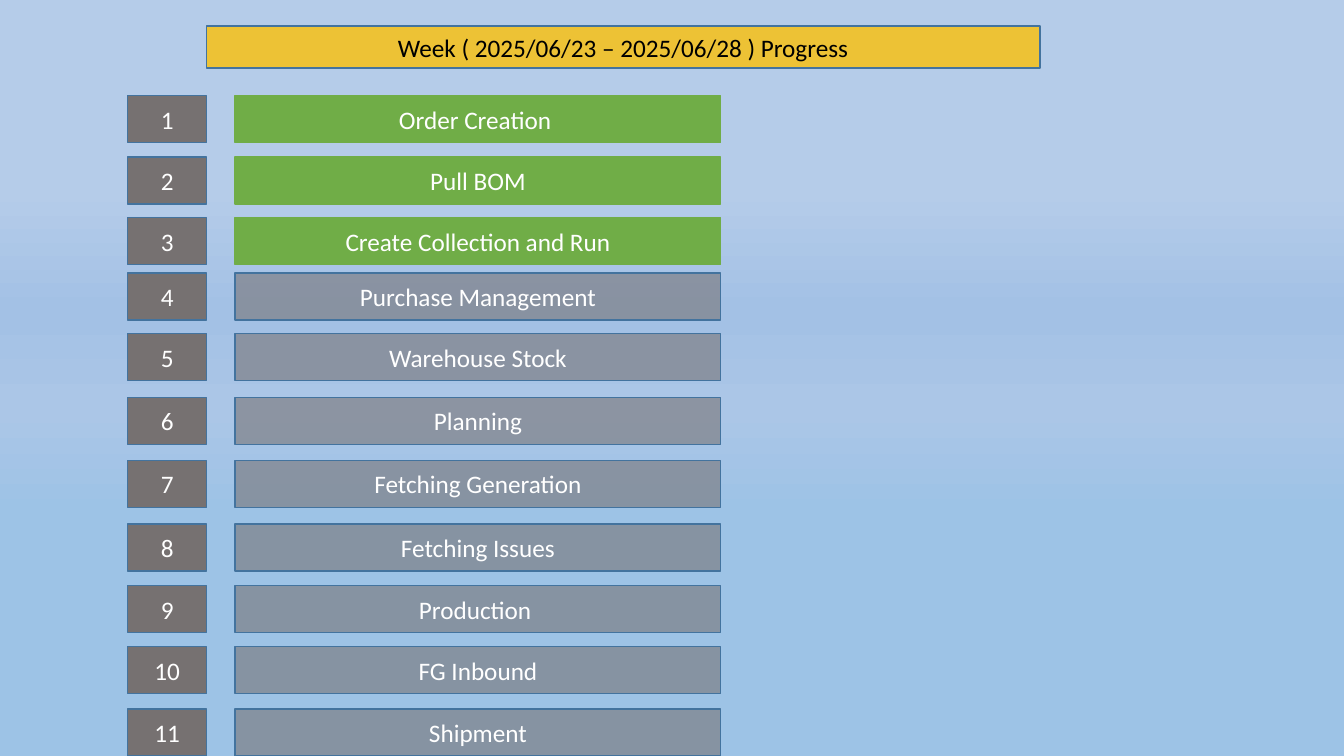
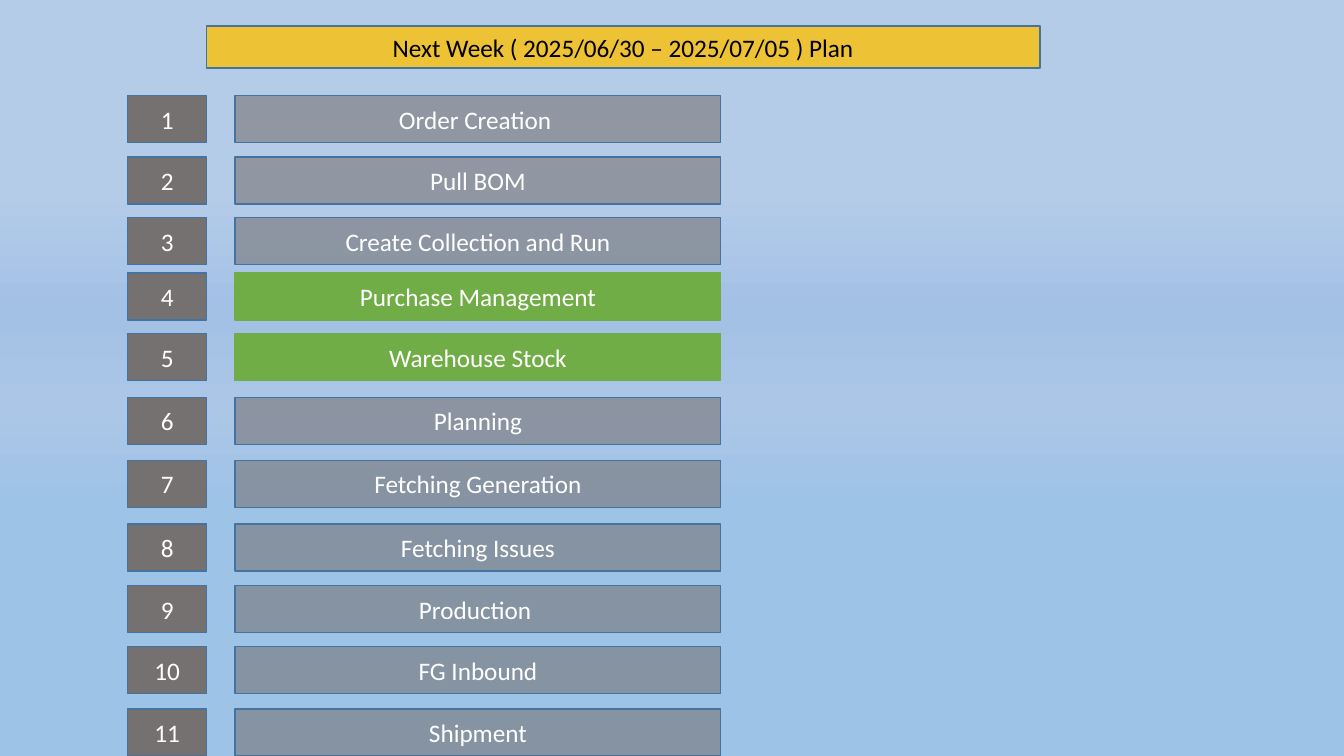
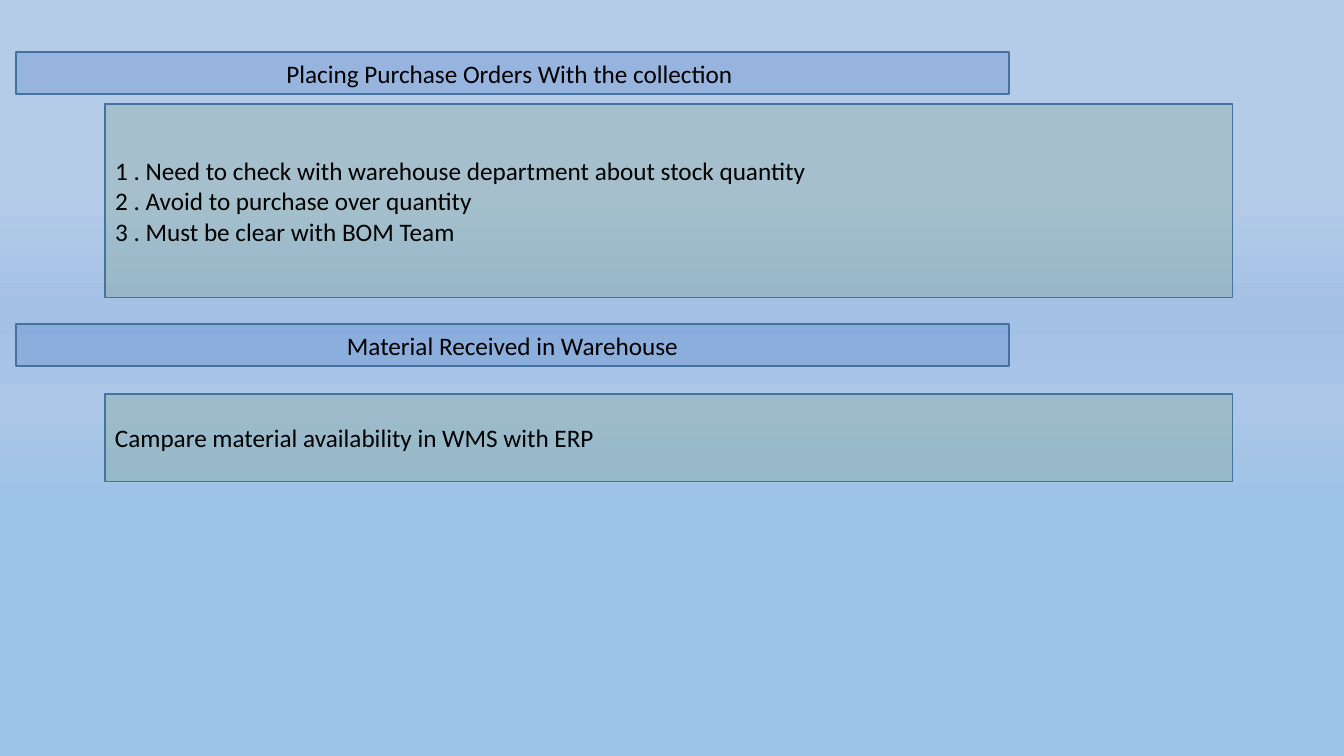
import dataclasses

import lxml.etree
import pptx
import pptx.dml.color
import pptx.enum.dml
import pptx.enum.shapes
import pptx.enum.text
import pptx.oxml.ns
import pptx.util

ALIGN = pptx.enum.text.PP_ALIGN
TITLE_AND_CONTENT, TITLE_ONLY = 1, 5


@dataclasses.dataclass(frozen=True)
class Style:
    """A box style; opacity is a percentage."""
    fill: str
    text: str
    opacity: int = 100
    line: str = "43739E"
    align: ALIGN = ALIGN.CENTER


@dataclasses.dataclass(frozen=True)
class Theme:
    font: str = "Calibri"
    size: int = 18
    line_width: int = 1
    # position in percent, colour
    backdrop: tuple = ((25, "B5CCE9"), (41, "A3C1E5"), (54, "ABC6E7"), (68, "9DC3E6"))
    banner: Style = Style("FFC000", "000000", 77)
    number: Style = Style("767171", "FFFFFF")
    active: Style = Style("70AD47", "FFFFFF", line="70AD47")
    idle: Style = Style("767171", "FFFFFF", 58)
    heading: Style = Style("4472C4", "000000", 26)
    note: Style = Style("548235", "000000", 16, align=ALIGN.LEFT)


def add_element(parent, tag, **attributes):
    return lxml.etree.SubElement(parent, pptx.oxml.ns.qn(tag), **attributes)


def rgb(code):
    return pptx.dml.color.RGBColor.from_string(code)


class SlideBuilder:
    """Draws on the current slide; lengths are cells of a 160 by 90 grid."""

    COLUMNS, ROWS = 160, 90

    def __init__(self, theme):
        self.theme = theme
        self.deck = pptx.Presentation()
        self.deck.slide_width = pptx.util.Inches(13.33)
        self.deck.slide_height = pptx.util.Inches(7.5)
        self.slide = None
        self.paint_backdrop()

    def paint_backdrop(self):
        master = self.deck.slide_master
        fill = master.background.fill
        fill.gradient()
        fill.gradient_angle = 270
        stops = master.element.xpath("p:cSld/p:bg//a:gsLst")[0]
        for stop in list(stops):
            stops.remove(stop)
        for percent, code in self.theme.backdrop:
            stop = add_element(stops, "a:gs", pos=str(percent * 1000))
            add_element(stop, "a:srgbClr", val=code)

    def new_slide(self, layout):
        self.slide = self.deck.slides.add_slide(self.deck.slide_layouts[layout])

    def place(self, area):
        """Turn (column, row, columns, rows) into slide lengths."""
        across = self.deck.slide_width / self.COLUMNS
        down = self.deck.slide_height / self.ROWS
        return [round(cells * unit) for cells, unit in zip(area, (across, down) * 2)]

    def title(self, area, text, style):
        box = self.slide.shapes.title
        box.left, box.top, box.width, box.height = self.place(area)
        self.dress(box, [text], style)

    def body(self, area, lines, style):
        box = self.slide.placeholders[1]
        box.left, box.top, box.width, box.height = self.place(area)
        self.dress(box, lines, style)

    def box(self, area, text, style):
        box = self.slide.shapes.add_shape(
            pptx.enum.shapes.MSO_SHAPE.RECTANGLE, *self.place(area))
        self.dress(box, [text], style)

    def dress(self, box, lines, style):
        """Give a shape or placeholder its fill, outline and text."""
        box.shadow.inherit = False
        box.fill.solid()
        box.fill.fore_color.rgb = rgb(style.fill)
        if style.opacity < 100:
            colour = box.element.xpath("p:spPr/a:solidFill/a:srgbClr")[0]
            add_element(colour, "a:alpha", val=str(style.opacity * 1000))
        box.line.color.rgb = rgb(style.line)
        box.line.width = pptx.util.Pt(self.theme.line_width)

        frame = box.text_frame
        frame.word_wrap = True
        frame.auto_size = pptx.enum.text.MSO_AUTO_SIZE.NONE
        frame.vertical_anchor = pptx.enum.text.MSO_ANCHOR.MIDDLE
        for index, line in enumerate(lines):
            para = frame.add_paragraph() if index else frame.paragraphs[0]
            properties = para._p.get_or_add_pPr()
            properties.set("marL", "0")
            properties.set("indent", "0")
            add_element(properties, "a:buNone")
            para.alignment = style.align
            para.space_before = pptx.util.Pt(0)
            span = para.add_run()
            span.text = line
            span.font.name = self.theme.font
            span.font.size = pptx.util.Pt(self.theme.size)
            span.font.color.rgb = rgb(style.text)


# row on the grid, step name
STEPS = (
    (11.4, "Order Creation "),
    (18.7, "Pull BOM"),
    (25.9, "Create Collection and Run"),
    (32.5, "Purchase Management"),
    (39.7, "Warehouse Stock"),
    (47.3, "Planning"),
    (54.8, "Fetching Generation"),
    (62.4, "Fetching Issues"),
    (69.7, "Production "),
    (77, "FG Inbound"),
    (84.4, "Shipment"),
)
STEP_HEIGHT = 5.6
BAND_HEIGHT = 5


def add_week(builder, title, active_steps):
    theme = builder.theme
    builder.new_slide(TITLE_ONLY)
    builder.title((24.6, 3.1, 99.2, BAND_HEIGHT), title, theme.banner)
    for number, (row, name) in enumerate(STEPS, 1):
        style = theme.active if number in active_steps else theme.idle
        builder.box((15.2, row, 9.4, STEP_HEIGHT), str(number), theme.number)
        builder.box((28, row, 57.8, STEP_HEIGHT), name, style)


def add_purchase_notes(builder):
    theme = builder.theme
    heading_left, heading_width = 1.9, 118.2
    note_left, note_width = 12.5, 134.2
    builder.new_slide(TITLE_AND_CONTENT)
    builder.title((heading_left, 6.2, heading_width, BAND_HEIGHT),
                  "Placing Purchase Orders With the collection ", theme.heading)
    builder.body((note_left, 12.4, note_width, 23), [
        "1 . Need to check with warehouse department about stock quantity",
        "2 . Avoid to purchase over quantity",
        "3 . Must be clear with BOM Team",
    ], theme.note)
    builder.box((heading_left, 38.6, heading_width, BAND_HEIGHT),
                "Material Received in Warehouse", theme.heading)
    builder.box((note_left, 46.9, note_width, 10.4),
                "Campare material availability in WMS with ERP", theme.note)


def main():
    builder = SlideBuilder(Theme())
    add_week(builder, "Week ( 2025/06/23 – 2025/06/28 ) Progress", {1, 2, 3})
    add_week(builder, "Next Week ( 2025/06/30 – 2025/07/05 ) Plan", {4, 5})
    add_purchase_notes(builder)
    builder.deck.save("out.pptx")


if __name__ == "__main__":
    main()
